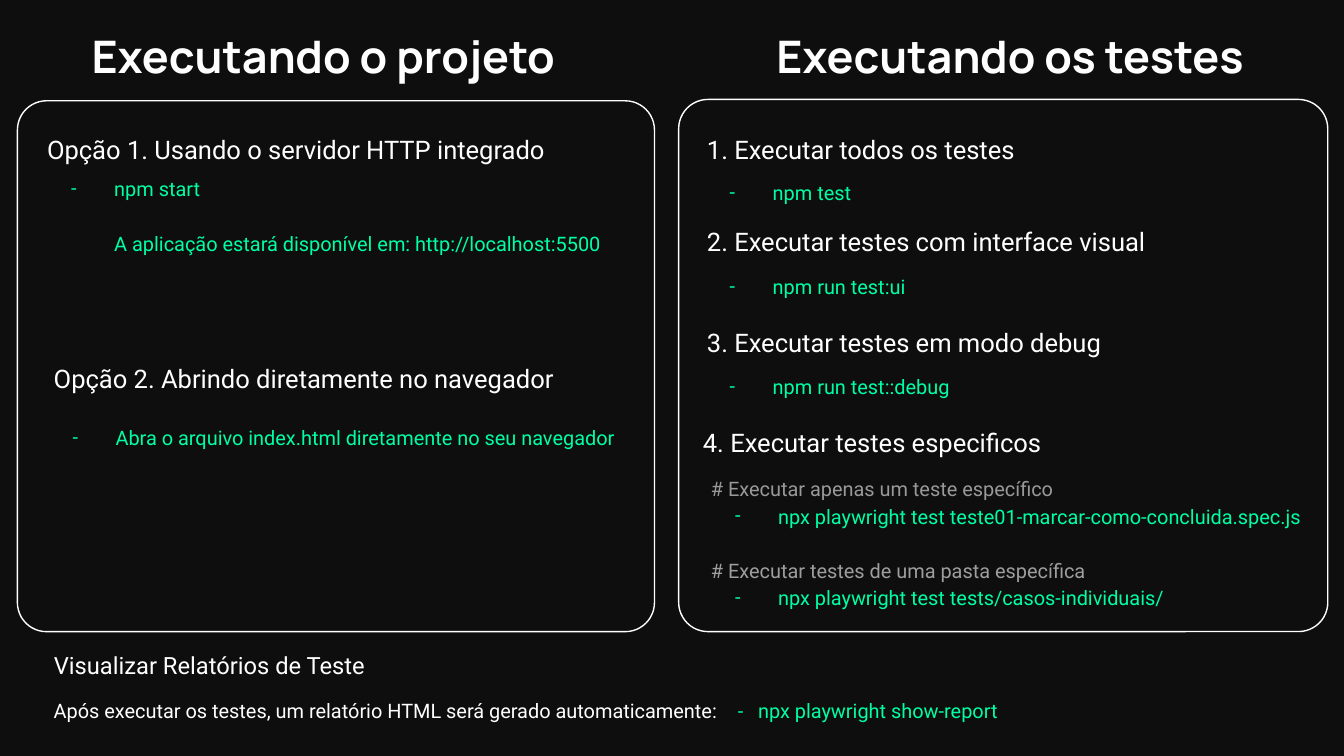
"""Build a slide on running a project and its tests."""
from dataclasses import dataclass
from typing import Any, Optional

import lxml.etree
import pptx
import pptx.dml.color
import pptx.enum.shapes
import pptx.enum.text
import pptx.oxml.ns
import pptx.util

WIDE = 10
HIGH = WIDE * 9 / 16
COLS, ROWS = 100, 56.25


@dataclass(frozen=True)
class Theme:
    back: str = "0E0E0E"
    white: str = "FFFFFF"
    green: str = "00FFA4"
    gray: str = "999999"
    pale: str = "9E9E9E"
    head: str = "Manrope"
    body: str = "Roboto"
    title: float = 24
    large: float = 13.7
    mid: float = 12.7
    small: float = 10.7
    edge: float = 0.75
    gap: float = 14.4


LOOK = Theme()


@dataclass(frozen=True)
class Area:
    col: float
    row: float
    cols: float
    rows: float


@dataclass(frozen=True)
class Style:
    size: float
    color: str
    face: str = LOOK.body
    bold: bool = False
    inset: float = 0.08
    lead: float = 1.15
    inner: float = 0
    dash: bool = False
    before: float = 0
    center: bool = False


@dataclass(frozen=True)
class Piece:
    text: str
    track: float = 0


@dataclass(frozen=True)
class Line:
    text: str
    style: Style
    tail: tuple[Piece, ...] = ()


@dataclass(frozen=True)
class Block:
    area: Area
    lines: tuple[Line, ...]
    holder: Optional[int] = None


TITLE = Style(LOOK.title, LOOK.white, LOOK.head, True, 0.1, 1, center=True)
HEAD = Style(LOOK.large, LOOK.white)
LABEL = Style(LOOK.mid, LOOK.white)
CODE = Style(LOOK.small, LOOK.green, inner=0.5, dash=True)
AFTER = Style(LOOK.small, LOOK.green, inner=0.5, before=LOOK.gap)
NOTE = Style(LOOK.small, LOOK.gray)
NEXT = Style(LOOK.small, LOOK.pale, before=LOOK.gap)
FOOT = Style(LOOK.small, LOOK.white)

PANELS = (Area(50.5, 7.4, 48.3, 39.6), Area(1.3, 7.5, 47.4, 39.5))

STEPS = (
    (8.8, 12.4, "1. Executar todos os testes", "npm test"),
    (15.7, 19.4, "2. Executar testes com interface visual", "npm run test:ui"),
    (23.2, 26.8, "3. Executar testes em modo debug", "npm run test::debug"),
)

BLOCKS = (
    Block(Area(-18.1, 1.1, 84.3, 6.3), (Line("Executando o projeto", TITLE),), 0),
    Block(Area(33, 1.1, 84.3, 6.3), (Line("Executando os testes", TITLE),), 1),
    Block(Area(2.7, 8.8, 47.9, 3.9),
          (Line("Opção 1. Usando o servidor HTTP integrado", HEAD),)),
    Block(Area(2.7, 12.1, 45.3, 9.1), (
        Line("npm start", CODE),
        Line("A aplicação estará disponível em: http://localhost:5500", AFTER),
    ), 2),
    Block(Area(3.2, 25.9, 41.6, 4.6),
          (Line("Opção 2. Abrindo diretamente no navegador", HEAD),)),
    Block(Area(2.8, 30.6, 44.8, 9.1),
          (Line("Abra o arquivo index.html diretamente no seu navegador", CODE),)),
    *(Block(Area(51.8, top, 36.8, 3.6), (Line(name, HEAD),))
      for top, _, name, _ in STEPS),
    *(Block(Area(51.7, low, 46.3, 4.6), (Line(code, CODE),))
      for _, low, _, code in STEPS),
    Block(Area(51.5, 30.6, 36.8, 3.6),
          (Line("4. Executar testes especificos", HEAD),)),
    Block(Area(52.1, 34.4, 46.3, 4.6), (
        Line("# Executar apenas um teste específico", NOTE),
        Line("npx playwright test teste01-marcar-como-concluida.spec.js", CODE),
        Line("# Executar testes de uma pasta específica", NEXT),
        Line("npx playwright test tests/casos-individuais/", CODE),
    ), 4),
    Block(Area(3.2, 47.3, 37.2, 3.9),
          (Line("Visualizar Relatórios de Teste", LABEL),), 3),
    Block(Area(3.2, 50.9, 88.4, 5.7), (
        Line("Após executar os testes, um relatório HTML será gerado automaticamente:",
             FOOT, (Piece(" ", 8), Piece("-"), Piece(" ", 5.3),
                    Piece("npx playwright show-report"))),
    )),
)


def paint(color: str) -> pptx.dml.color.RGBColor:
    return pptx.dml.color.RGBColor.from_string(color)


def place(area: Area) -> tuple[int, ...]:
    wide, high = WIDE / COLS, HIGH / ROWS
    sides = (area.col * wide, area.row * high, area.cols * wide, area.rows * high)
    return tuple(pptx.util.Inches(side) for side in sides)


def child(node: Any, tag: str, **attrs: str) -> Any:
    return lxml.etree.SubElement(node, pptx.oxml.ns.qn(tag), attrs)


def indent(para: Any, style: Style) -> None:
    node = para._p.get_or_add_pPr()
    node.set("marL", str(pptx.util.Inches(style.inner)))
    node.set("indent", str(pptx.util.Inches(-0.32 if style.dash else 0)))
    if style.dash:
        child(child(node, "a:buClr"), "a:srgbClr", val=style.color)
        child(node, "a:buFont", typeface=style.face)
        child(node, "a:buChar", char="-")
    else:
        child(node, "a:buNone")


def write(para: Any, line: Line) -> None:
    style = line.style
    align = pptx.enum.text.PP_ALIGN
    para.alignment = align.CENTER if style.center else align.LEFT
    para.line_spacing = style.lead
    para.space_before = pptx.util.Pt(style.before)
    para.space_after = pptx.util.Pt(0)
    indent(para, style)
    font = para.font
    font.name, font.size, font.bold = style.face, pptx.util.Pt(style.size), style.bold
    font.color.rgb = paint(style.color)
    para.add_run().text = line.text
    for piece in line.tail:
        run = para.add_run()
        run.text = piece.text
        run.font.color.rgb = paint(LOOK.green)
        if piece.track:
            run._r.get_or_add_rPr().set("spc", str(round(piece.track * 100)))


def draw_block(slide: Any, block: Block) -> None:
    spot = place(block.area)
    if block.holder is None:
        shape = slide.shapes.add_textbox(*spot)
    else:
        shape = slide.placeholders[block.holder]
        shape.left, shape.top, shape.width, shape.height = spot
        shape.element.getparent().append(shape.element)
    frame = shape.text_frame
    frame.word_wrap = True
    frame.auto_size = pptx.enum.text.MSO_AUTO_SIZE.NONE
    frame.vertical_anchor = pptx.enum.text.MSO_ANCHOR.TOP
    inset = pptx.util.Inches(block.lines[0].style.inset)
    frame.margin_left = frame.margin_right = inset
    frame.margin_top = frame.margin_bottom = inset
    for rank, line in enumerate(block.lines):
        write(frame.add_paragraph() if rank else frame.paragraphs[0], line)


def draw_panel(slide: Any, area: Area) -> None:
    kind = pptx.enum.shapes.MSO_SHAPE.ROUNDED_RECTANGLE
    panel = slide.shapes.add_shape(kind, *place(area))
    panel.adjustments[0] = 0.055
    panel.shadow.inherit = False
    panel.fill.background()
    panel.line.color.rgb = paint(LOOK.white)
    panel.line.width = pptx.util.Pt(LOOK.edge)


def main() -> None:
    deck = pptx.Presentation()
    deck.slide_width = pptx.util.Inches(WIDE)
    deck.slide_height = pptx.util.Inches(HIGH)
    slide = deck.slides.add_slide(deck.slide_layouts.get_by_name("Comparison"))
    slide.background.fill.solid()
    slide.background.fill.fore_color.rgb = paint(LOOK.back)
    for area in PANELS:
        draw_panel(slide, area)
    for block in BLOCKS:
        draw_block(slide, block)
    deck.save("out.pptx")


if __name__ == "__main__":
    main()
